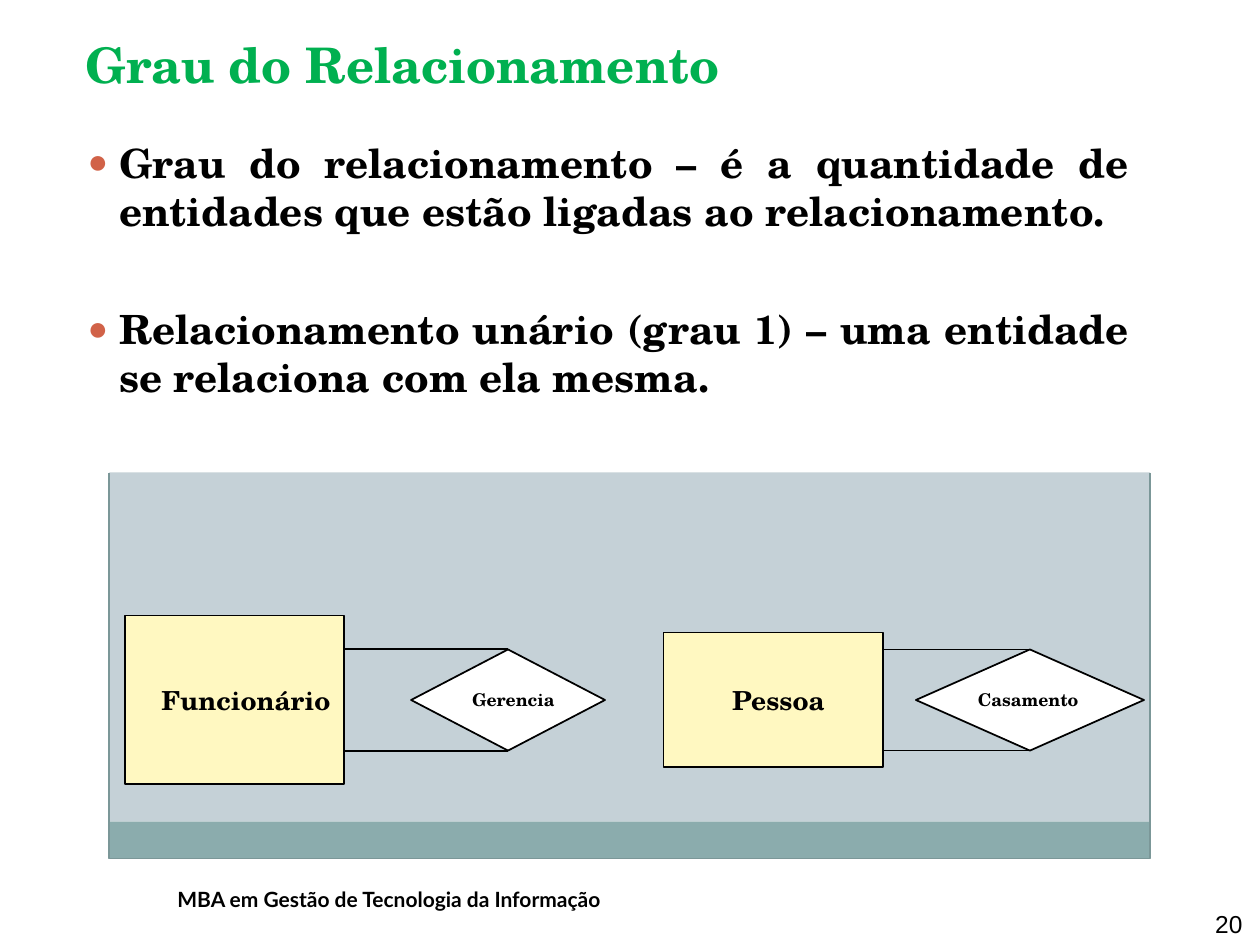
from lxml import etree
from pptx import Presentation
from pptx.dml.color import RGBColor
from pptx.enum import shapes, text
from pptx.oxml import ns
from pptx.util import Pt

SERIF = "TeX Gyre Schola"
BLACK = "000000"
TITLE = "Grau do Relacionamento"
BULLETS = [
    "Grau do relacionamento – é a quantidade de entidades que estão ligadas ao relacionamento.",
    "Relacionamento unário (grau 1) – uma entidade se relaciona com ela mesma.",
]
BULLET_GAP = 40
FOOTER = "MBA em Gestão de Tecnologia da Informação"
PAGE = "20"

# left, top, width, height of the panel, and height of the strip under it
PANEL = (62.5, 270, 594.7, 199.5)
STRIP_HEIGHT = 21
AXIS = 400  # every entity and relationship is centred on this height
ENTITY_WIDTH = 125.2
RELATION_HEIGHT = 57.8
# name, left, height or width, (left, right) text insets
DIAGRAMS = [
    {"entity": ("Funcionário", 71.4, 96.5, (13, 0)),
     "relation": ("Gerencia", 234.9, 110.8, (6, 0)), "line": 1.19},
    {"entity": ("Pessoa", 379.2, 77.1, (6, 0)),
     "relation": ("Casamento", 523.4, 130.3, (0, 2)), "line": 1},
]


def color(value):
    return RGBColor.from_string(value)


def set_font(paragraph, size, value=BLACK, name=SERIF, bold=True):
    font = paragraph.font
    font.size, font.name, font.bold = Pt(size), name, bold
    font.color.rgb = color(value)


def set_box(shape, left, top, width, height):
    shape.left, shape.top = Pt(left), Pt(top)
    shape.width, shape.height = Pt(width), Pt(height)


def set_frame(frame, anchor, insets, wrap=True):
    """Insets run left, top, right, bottom."""
    frame.auto_size = text.MSO_AUTO_SIZE.NONE
    frame.word_wrap = wrap
    frame.vertical_anchor = anchor
    (frame.margin_left, frame.margin_top,
     frame.margin_right, frame.margin_bottom) = map(Pt, insets)


def add_bullet(paragraph):
    properties = paragraph._p.get_or_add_pPr()
    properties.set("marL", str(Pt(19)))
    properties.set("indent", str(Pt(-18)))
    bullet_color = etree.SubElement(properties, ns.qn("a:buClr"))
    etree.SubElement(bullet_color, ns.qn("a:srgbClr"), val="D16248")
    etree.SubElement(properties, ns.qn("a:buSzPct"), val="85000")
    etree.SubElement(properties, ns.qn("a:buChar"), char="●")


def add_filled(slide, kind, box, fill, outline=None):
    shape = slide.shapes.add_shape(kind, *map(Pt, box))
    shape.shadow.inherit = False
    shape.fill.solid()
    shape.fill.fore_color.rgb = color(fill)
    if outline:
        shape.line.color.rgb = color(outline)
        shape.line.width = Pt(1)
    else:
        shape.line.fill.background()
    return shape


def add_label(shape, label, size, insets):
    left, right = insets
    set_frame(shape.text_frame, text.MSO_ANCHOR.MIDDLE, (left, 0, right, 0), wrap=False)
    paragraph = shape.text_frame.paragraphs[0]
    paragraph.text = label
    paragraph.alignment = text.PP_ALIGN.CENTER
    set_font(paragraph, size)


def add_text(slide, box, content, size, name, bold, anchor, align):
    shape = slide.shapes.add_textbox(*map(Pt, box))
    set_frame(shape.text_frame, anchor, (7.2, 3.6, 7.2, 3.6), wrap=False)
    paragraph = shape.text_frame.paragraphs[0]
    paragraph.text = content
    paragraph.alignment = align
    set_font(paragraph, size, name=name, bold=bold)


def fill_placeholders(slide):
    title, body = slide.placeholders[0], slide.placeholders[1]
    set_box(title, 48.2, 18.7, 363.6, 35.3)
    set_frame(title.text_frame, text.MSO_ANCHOR.TOP, (0, 1, 0, 0), wrap=False)
    title.text_frame.text = TITLE
    heading = title.text_frame.paragraphs[0]
    heading.alignment = text.PP_ALIGN.CENTER
    set_font(heading, 28, "00B050")

    set_box(body, 49, 77.8, 597, 151.2)
    set_frame(body.text_frame, text.MSO_ANCHOR.TOP, (0, 1, 0, 0))
    body.text_frame.text = "\n".join(BULLETS)
    for index, paragraph in enumerate(body.text_frame.paragraphs):
        add_bullet(paragraph)
        paragraph.alignment = text.PP_ALIGN.JUSTIFY
        paragraph.space_before = Pt(BULLET_GAP if index else 0)
        set_font(paragraph, 23)


def draw_panel(slide):
    left, top, width, height = PANEL
    right, bottom = left + width, top + height + STRIP_HEIGHT
    rectangle = shapes.MSO_SHAPE.RECTANGLE
    add_filled(slide, rectangle, PANEL, "C5D1D7")
    add_filled(slide, rectangle, (left, top + height, width, STRIP_HEIGHT), "8BACAD")
    builder = slide.shapes.build_freeform(Pt(left), Pt(top))
    corners = [(left, bottom), (right, bottom), (right, top)]
    builder.add_line_segments([(Pt(x), Pt(y)) for x, y in corners], close=False)
    border = builder.convert_to_shape()
    border.shadow.inherit = False
    border.fill.background()
    border.line.color.rgb = color("7B9798")
    border.line.width = Pt(1)


def draw_diagram(slide, diagram):
    name, left, height, insets = diagram["entity"]
    entity = add_filled(slide, shapes.MSO_SHAPE.RECTANGLE,
                        (left, AXIS - height / 2, ENTITY_WIDTH, height), "FFF8C1", BLACK)
    add_label(entity, name, 15, insets)

    name, left, width, insets = diagram["relation"]
    relation = add_filled(slide, shapes.MSO_SHAPE.DIAMOND,
                          (left, AXIS - RELATION_HEIGHT / 2, width, RELATION_HEIGHT),
                          "FFFFFF", BLACK)
    add_label(relation, name, 10, insets)

    start = entity.left + entity.width
    for site, y in ((0, relation.top), (2, relation.top + relation.height)):
        line = slide.shapes.add_connector(shapes.MSO_CONNECTOR.STRAIGHT, start, y,
                                          relation.left + relation.width // 2, y)
        line.end_connect(relation, site)
        line.line.color.rgb = color(BLACK)
        line.line.width = Pt(diagram["line"])
        etree.SubElement(line._element.spPr, ns.qn("a:effectLst"))


def main():
    presentation = Presentation()
    presentation.slide_width, presentation.slide_height = Pt(720), Pt(540)
    slide = presentation.slides.add_slide(presentation.slide_layouts[1])
    fill_placeholders(slide)
    draw_panel(slide)
    for diagram in DIAGRAMS:
        draw_diagram(slide, diagram)
    add_text(slide, (94.3, 503.3, 285.8, 21.6), FOOTER, 12, "Lato", True,
             text.MSO_ANCHOR.MIDDLE, text.PP_ALIGN.LEFT)
    add_text(slide, (680.4, 517.7, 36.7, 22.3), PAGE, 14, "Arial", False,
             text.MSO_ANCHOR.BOTTOM, text.PP_ALIGN.RIGHT)
    presentation.save("out.pptx")


if __name__ == "__main__":
    main()
